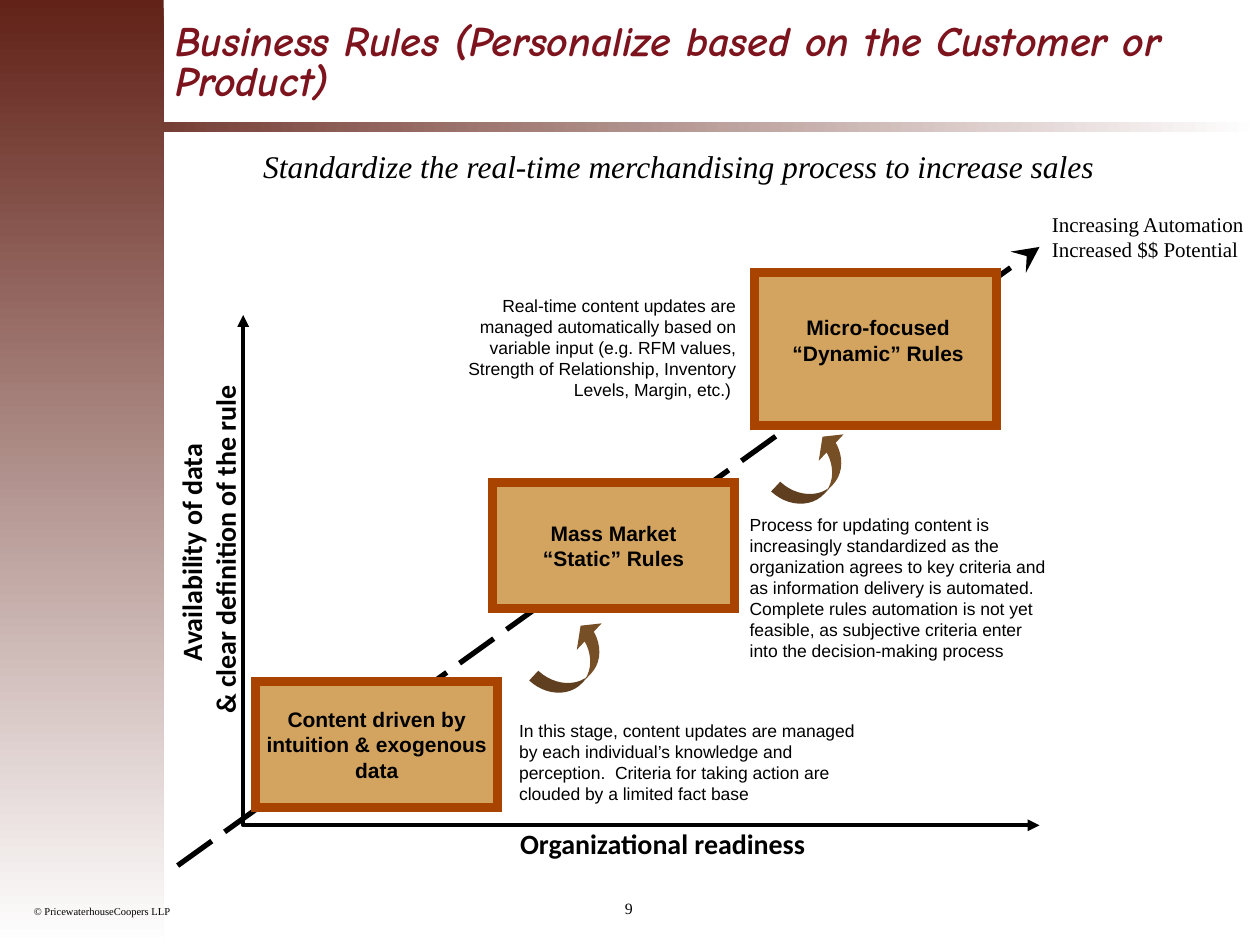
from lxml import etree
from pptx import Presentation
from pptx.dml.color import RGBColor
from pptx.enum.dml import MSO_LINE
from pptx.enum.shapes import MSO_CONNECTOR, MSO_SHAPE
from pptx.enum.text import MSO_ANCHOR, MSO_AUTO_SIZE, PP_ALIGN
from pptx.oxml.ns import qn
from pptx.util import Inches, Pt

LEFT, CENTER, RIGHT = PP_ALIGN.LEFT, PP_ALIGN.CENTER, PP_ALIGN.RIGHT
TOP, MIDDLE, BOTTOM = MSO_ANCHOR.TOP, MSO_ANCHOR.MIDDLE, MSO_ANCHOR.BOTTOM
RECTANGLE, CURVED_ARROW = MSO_SHAPE.RECTANGLE, MSO_SHAPE.CURVED_RIGHT_ARROW
SERIF, SANS, AXIS_FONT, TITLE_FONT = "Times New Roman", "Arial", "Calibri", "Comic Neue"
WIDE_INSETS, TIGHT_INSETS = (0.1, 0.05), (0.04, 0.04)

COLORS = {
    "white": "FFFFFF",
    "black": "000000",
    "maroon": "622218",
    "title": "7C131D",
    "stage": "D2A460",
    "stage_edge": "A94300",
    "arrow": "774F27",
}


def color(name):
    return RGBColor.from_string(COLORS[name])


def write(shape, text, font, size, fill="black", bold=False, italic=False, align=LEFT,
          anchor=TOP, insets=WIDE_INSETS, wrap=True, spacing=None):
    """Put text in a shape, one paragraph for each line of the string."""
    frame = shape.text_frame
    frame.text = text
    frame.word_wrap = wrap
    frame.auto_size = MSO_AUTO_SIZE.NONE
    frame.vertical_anchor = anchor
    frame.margin_left = frame.margin_right = Inches(insets[0])
    frame.margin_top = frame.margin_bottom = Inches(insets[1])
    for para in frame.paragraphs:
        para.alignment = align
        if spacing:
            para.line_spacing = spacing
        para.font.name = font
        para.font.size = Pt(size)
        para.font.bold = bold
        para.font.italic = italic
        para.font.color.rgb = color(fill)


def add_label(page, box, text, font, size, **style):
    label = page.shapes.add_textbox(*map(Inches, box))
    write(label, text, font, size, wrap=False, **style)
    return label


def add_block(page, box, fill, edge=None, kind=RECTANGLE):
    shape = page.shapes.add_shape(kind, *map(Inches, box))
    shape.shadow.inherit = False
    shape.fill.solid()
    shape.fill.fore_color.rgb = color(fill)
    if edge:
        shape.line.color.rgb = color(edge)
        shape.line.width = Pt(5)
        add_miter(shape)
    else:
        shape.line.fill.background()
    return shape


def add_miter(shape):
    """Give the outline square corners."""
    miter = etree.SubElement(shape.line._get_or_add_ln(), qn("a:miter"))
    miter.set("lim", "800000")


def add_gradient(page, box, angle):
    """Bar that fades from maroon to white."""
    bar = add_block(page, box, "maroon")
    bar.fill.gradient()
    bar.fill.gradient_angle = angle
    for stop, position, name in zip(bar.fill.gradient_stops, (0, 1), ("maroon", "white")):
        stop.position = position
        stop.color.rgb = color(name)


def add_arrowhead(line, end, kind, size="med"):
    head = etree.SubElement(line.line._get_or_add_ln(), qn(f"a:{end}"))
    for key, value in (("type", kind), ("w", size), ("len", size)):
        head.set(key, value)


def add_curved_arrow(page, box):
    arrow = add_block(page, box, "arrow", kind=CURVED_ARROW)
    arrow.rotation = 223.2
    for index, share in enumerate((0.33, 0.9, 0.34)):
        arrow.adjustments[index] = share


def add_frame(page, width, height):
    """Side band, rule, copyright line and page number."""
    add_gradient(page, (0, 0.97, width, 0.08), 0)
    add_gradient(page, (0, 0, 1.3, height), 270)
    add_label(page, (0.17, height - 0.37, 1.28, 0.2), "© PricewaterhouseCoopers LLP", SERIF, 6)
    add_label(page, (4.63, height - 0.4, 0.72, 0.23), "9", SERIF, 9, align=CENTER, spacing=0.9)


def add_headings(page, box):
    left, top, width, height = box
    title = page.shapes.title
    title.left, title.top, title.width, title.height = map(Inches, box)
    write(title, "Business Rules (Personalize based on the Customer or Product)", TITLE_FONT, 24,
          fill="title", bold=True, italic=True, anchor=BOTTOM, insets=(0, 0), spacing=0.8)
    add_label(page, (left + 0.6, top + 0.85, 6.84, 0.4),
              "Standardize the real-time merchandising process to increase sales",
              SERIF, 18, italic=True)


def add_trend(page, box):
    """Dashed arrow from the lower left to the upper right corner."""
    left, top, width, height = box
    trend = page.shapes.add_connector(MSO_CONNECTOR.STRAIGHT, Inches(left), Inches(top + height),
                                      Inches(left + width), Inches(top))
    trend.line.color.rgb = color("black")
    trend.line.width = Pt(3)
    trend.line.dash_style = MSO_LINE.LONG_DASH
    add_arrowhead(trend, "tailEnd", "stealth", "lg")
    etree.SubElement(trend._element.spPr, qn("a:effectLst"))
    add_label(page, (left + width, top - 0.33, 1.73, 0.5),
              "Increasing Automation\nIncreased $$ Potential", SERIF, 12)


def add_axes(page, box):
    left, top, width, height = box
    right, bottom = Inches(left + width), Inches(top + height)
    builder = page.shapes.build_freeform(Inches(left), Inches(top))
    builder.add_line_segments([(Inches(left), bottom), (right, bottom)], close=False)
    axes = builder.convert_to_shape()
    axes.shadow.inherit = False
    axes.fill.background()
    axes.line.color.rgb = color("black")
    axes.line.width = Pt(2.25)
    for end in ("headEnd", "tailEnd"):
        add_arrowhead(axes, end, "triangle")
    style = dict(bold=True, align=CENTER, anchor=MIDDLE)
    add_label(page, (left + 1.63, top + height - 0.04, 3.4, 0.37), "Organizational readiness",
              AXIS_FONT, 16, **style)
    vertical = add_label(page, (left - 2.15, top + 1.54, 3.74, 0.64),
                         "Availability of data \n& clear definition of the rule", AXIS_FONT, 16, **style)
    vertical.rotation = 270


def add_stage(page, box, text, label_box=None):
    stage = add_block(page, box, "stage", "stage_edge")
    style = dict(bold=True, align=CENTER)
    if label_box:
        write(add_block(page, label_box, "stage"), text, SANS, 12, **style)
    else:
        write(stage, text, SANS, 12, anchor=MIDDLE, insets=TIGHT_INSETS, **style)


def add_note(page, box, text, align=LEFT):
    write(add_block(page, box, "white"), text, SANS, 10, align=align, anchor=MIDDLE,
          insets=TIGHT_INSETS)


def add_stages(page):
    """Three steps, their notes and the curved arrows between them."""
    add_stage(page, (5.99, 2.16, 1.92, 1.22), "Micro-focused “Dynamic” Rules", (6.07, 2.45, 1.8, 0.66))
    add_stage(page, (2.03, 5.41, 1.92, 1), "Content driven by intuition & exogenous data")
    add_note(page, (4.08, 5.67, 2.75, 0.75),
             "In this stage, content updates are managed by each individual’s knowledge and "
             "perception.  Criteria for taking action are clouded by a limited fact base")
    add_note(page, (5.91, 4.04, 2.5, 1.25),
             "Process for updating content is increasingly standardized as the organization agrees "
             "to key criteria and as information delivery is automated.  Complete rules automation "
             "is not yet feasible, as subjective criteria enter into the decision-making process")
    add_note(page, (3.58, 2.3, 2.3, 0.91),
             "Real-time content updates are managed automatically based on variable input (e.g. RFM "
             "values, Strength of Relationship, Inventory Levels, Margin, etc.) ", RIGHT)
    for left, top in ((4.41, 4.87), (6.33, 3.37)):
        add_curved_arrow(page, (left, top, 0.32, 0.74))
    add_stage(page, (3.91, 3.83, 1.92, 1), "Mass Market\n“Static” Rules")


def main():
    deck = Presentation()
    deck.slide_width, deck.slide_height = Inches(10), Inches(7.5)
    page = deck.slides.add_slide(deck.slide_layouts[5])
    add_frame(page, 10, 7.5)
    add_headings(page, (1.39, 0.27, 8.39, 0.56))
    add_trend(page, (1.41, 1.96, 6.84, 4.91))
    add_stages(page)
    add_axes(page, (1.93, 2.5, 6.32, 4.05))
    deck.save("out.pptx")


if __name__ == "__main__":
    main()
